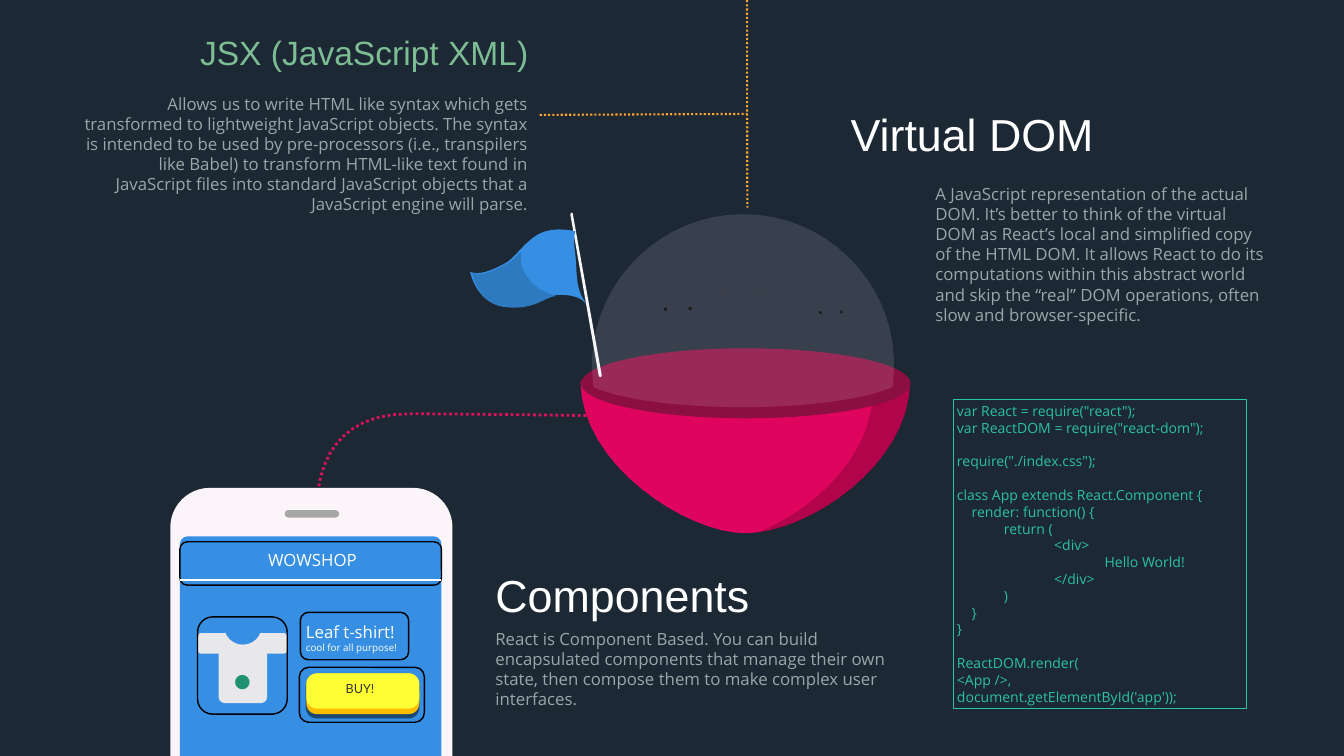
from lxml.etree import SubElement
from pptx import Presentation
from pptx.dml.color import RGBColor
from pptx.enum.dml import MSO_LINE
from pptx.enum.shapes import MSO_CONNECTOR, MSO_SHAPE as SHAPE
from pptx.enum.text import MSO_ANCHOR, MSO_AUTO_SIZE, PP_ALIGN as ALIGN
from pptx.oxml.ns import qn
from pptx.util import Pt

PX = 9144  # 100 px to the inch
THEME = {
    "night": "1D2835", "white": "FFFFFF", "black": "000000", "grey": "9AA7A8",
    "jsx": "7DBD94", "code": "2BC2A1", "orange": "FDA531", "rose": "DB125A",
    "bowl": "DF055E", "rim": "8C0F42", "pole": "F6F6F6", "blue": "368FE2",
    "fold": "2D7AC1", "speck": "231F1F", "shell": "FBF4F8", "speaker": "A8A7A7",
    "shirt": "E8E8EA", "amber": "FCBD00", "yellow": "FFFF33", "label": "343434",
    "leaf": "219271",
    "title": 64, "subtitle": 48, "dot": 42, "body": 24, "listing": 20,
    "button": 18, "small": 14,
    "head_font": "Arial", "body_font": "Open Sans", "app_font": "Lato",
}

prs = Presentation()
prs.slide_width, prs.slide_height = 2667 * PX, 1500 * PX
slide = prs.slides.add_slide(prs.slide_layouts[6])
slide.background.fill.solid()
slide.background.fill.fore_color.rgb = RGBColor.from_string(THEME["night"])
shapes = slide.shapes


def outline(start, segments, close=True):
    """Two numbers make a straight segment, six a Bézier curve."""
    points = [start]
    for segment in segments:
        if len(segment) == 2:
            points.append(segment)
            continue
        knots = [points[-1], segment[:2], segment[2:4], segment[4:]]
        for step in range(1, 17):
            t = step / 16
            weights = ((1 - t) ** 3, 3 * t * (1 - t) ** 2, 3 * t * t * (1 - t), t ** 3)
            points.append(tuple(sum(w * k[axis] for w, k in zip(weights, knots))
                                for axis in (0, 1)))
    scaled = [(round(x * PX), round(y * PX)) for x, y in points]
    builder = shapes.build_freeform(*scaled[0], scale=1.0)
    builder.add_line_segments(scaled[1:], close=close)
    return builder.convert_to_shape()


def style(shape, fill=None, line=None, width=2, alpha=None):
    shape.shadow.inherit = False
    if fill:
        shape.fill.solid()
        shape.fill.fore_color.rgb = RGBColor.from_string(THEME[fill])
        if alpha:
            color = shape.fill._xPr.find(qn("a:solidFill"))[0]
            SubElement(color, qn("a:alpha"), val=str(alpha * 1000))
    else:
        shape.fill.background()
    if line:
        shape.line.color.rgb = RGBColor.from_string(THEME[line])
        shape.line.width = Pt(width)
    else:
        shape.line.fill.background()


# Dotted curve from the phone to the bowl
trail = outline((630, 1453), [(630, 1014), (630, 1014, 612, 820, 813, 821),
                              (1013, 822, 1347, 827, 1347, 827)], close=False)
style(trail, line="rose", width=4)
trail.line.dash_style = MSO_LINE.ROUND_DOT

# Straight lines: dotted branch above, divider in the phone header later
branches = [(1482, -267, 1483, 412), (1071, 228, 1483, 226)]
divider = (357, 1151, 876, 1151)

# Bowl, flag and dome
outlines = [
    ("bowl", None, (1152, 756), [(1152, 922, 1363, 1058, 1479, 1058),
                                 (1603, 1058, 1806, 922, 1806, 756)]),
    ("black", 20, (1152, 757), [(1152, 762, 1210, 759, 1210, 765), (1732, 776),
                                (1732, 904, 1614, 1013, 1503, 1057),
                                (1627, 1042, 1806, 912, 1806, 757)]),
    ("rim", None, (1807, 761), [(1807, 799, 1661, 830, 1480, 830),
                                (1300, 830, 1153, 799, 1153, 761),
                                (1153, 722, 1300, 691, 1480, 691),
                                (1661, 691, 1807, 722, 1807, 761)]),
    ("pole", None, (1188, 745), [(1189, 747, 1190, 748, 1192, 748),
                                 (1193, 748, 1194, 746, 1194, 744),
                                 (1138, 432), (1137, 425),
                                 (1137, 423, 1135, 422, 1134, 422),
                                 (1132, 423, 1132, 425, 1132, 427)]),
    ("blue", None, (939, 541), [(955, 545, 982, 534, 1003, 522),
                                (1024, 510, 1041, 479, 1070, 464),
                                (1100, 448, 1142, 459, 1142, 459),
                                (1139, 468, 1138, 480, 1141, 499),
                                (1146, 537, 1140, 569, 1161, 599), (1162, 603),
                                (1162, 603, 1155, 586, 1115, 585),
                                (1075, 583, 1068, 612, 1007, 609),
                                (951, 607, 935, 549, 933, 540),
                                (935, 540, 937, 541, 939, 541)]),
    ("fold", None, (1007, 523), [(1016, 518, 1025, 509, 1034, 499),
                                 (1032, 515, 1034, 533, 1048, 552),
                                 (1063, 573, 1085, 582, 1104, 587),
                                 (1076, 592, 1063, 613, 1010, 610),
                                 (954, 608, 939, 551, 937, 541),
                                 (938, 542, 940, 542, 943, 543),
                                 (959, 547, 986, 535, 1007, 523)]),
    ("shell", 12, (1774, 711), [(1767, 552, 1635, 425, 1475, 425),
                                (1314, 425, 1183, 552, 1175, 710), (1175, 724),
                                (1175, 739, 1176, 754, 1178, 768),
                                (1230, 792, 1343, 808, 1474, 808),
                                (1606, 808, 1719, 791, 1771, 768),
                                (1773, 754, 1774, 739, 1774, 724)]),
]
for fill, alpha, start, segments in outlines:
    if fill == "shell":  # specks lie beneath the dome
        for left, top, size, color in [
                (1317, 610, 7, "black"), (1366, 609, 7, "black"),
                (1625, 617, 6, "black"), (1666, 616, 6, "black"),
                (1505, 580, 6, "speck"), (1436, 579, 6, "speck")]:
            speck = shapes.add_shape(SHAPE.OVAL, left * PX, top * PX, size * PX, size * PX)
            style(speck, color)
    style(outline(start, segments), fill, alpha=alpha)

# Phone, T-shirt, button, then frames around the components
blocks = [
    ((338, 968, 560, 1161), 0.14, "shell", None),
    ((357, 1064, 519, 949), 0.03, "blue", None),
    ((565, 1012, 108, 15), 0.5, "speaker", None),
    ((434, 1256, 96, 139), 0.12, "shirt", None),
    ((392, 1256, 178, 41), 0.18, "shirt", None),
    ((445, 1205, 74, 74), None, "blue", None),
    ((608, 1336, 224, 81), 0.26, "amber", None),
    ((608, 1336, 224, 70), 0.3, "yellow", None),
    ((392, 1224, 178, 193), 0.17, None, "black"),
    ((596, 1215, 215, 94), 0.17, None, "black"),
    ((594, 1324, 248, 109), 0.17, None, "black"),
    ((357, 1075, 519, 86), 0.17, None, "black"),
]
for box, radius, fill, line in blocks:
    kind = SHAPE.ROUNDED_RECTANGLE if radius else SHAPE.OVAL
    block = shapes.add_shape(kind, *(side * PX for side in box))
    style(block, fill, line)
    if radius:
        block.adjustments[0] = radius
    if fill == "amber":
        effects = block._element.spPr.find(qn("a:effectLst"))
        shadow = SubElement(effects, qn("a:outerShdw"), blurRad=str(Pt(1)), dist=str(Pt(5)),
                            dir="5400000", algn="ctr", rotWithShape="0")
        shade = SubElement(shadow, qn("a:srgbClr"), val=THEME["black"])
        SubElement(shade, qn("a:alpha"), val="50000")

for ends in branches + [divider]:
    wire = shapes.add_connector(MSO_CONNECTOR.STRAIGHT, *(end * PX for end in ends))
    SubElement(wire._element.spPr, qn("a:effectLst"))
    is_branch = ends in branches
    wire.line.color.rgb = RGBColor.from_string(THEME["orange" if is_branch else "white"])
    wire.line.width = Pt(3 if is_branch else 2)
    if is_branch:
        wire.line.dash_style = MSO_LINE.ROUND_DOT

# Texts: box, wrap, alignment, font, colour, lines with their sizes
dom_text = "A JavaScript representation of the actual DOM. It’s better to think of the virtual DOM as React’s local and simplified copy of the HTML DOM. It allows React to do its computations within this abstract world and skip the “real” DOM operations, often slow and browser-specific."
jsx_text = "Allows us to write HTML like syntax which gets transformed to lightweight JavaScript objects. The syntax is intended to be used by pre-processors (i.e., transpilers like Babel) to transform HTML-like text found in JavaScript files into standard JavaScript objects that a JavaScript engine will parse."
component_text = "React is Component Based. You can build encapsulated components that manage their own state, then compose them to make complex user interfaces."
texts = [
    ((1688, 211, 543, 108), False, ALIGN.LEFT, "head_font", "white", [("Virtual DOM", "title")]),
    ((1856, 333, 655, 342), True, ALIGN.LEFT, "body_font", "grey", [(dom_text, "body")]),
    ((372, 63, 677, 81), False, ALIGN.RIGHT, "head_font", "jsx", [("JSX (JavaScript XML)", "subtitle")]),
    ((158, 177, 889, 256), True, ALIGN.RIGHT, "body_font", "grey", [(jsx_text, "body")]),
    ((983, 1125, 558, 108), False, ALIGN.LEFT, "head_font", "white", [("Components", "title")]),
    ((983, 1254, 822, 146), True, ALIGN.LEFT, "body_font", "grey", [(component_text, "body")]),
    ((686, 1346, 69, 40), False, ALIGN.LEFT, "app_font", "label", [("BUY!", "button")]),
    ((447, 1291, 68, 68), False, ALIGN.CENTER, "app_font", "leaf", [("●", "dot")]),
    ((607, 1224, 203, 81), False, ALIGN.LEFT, "body_font", "white",
     [("Leaf t-shirt!", "body"), ("cool for all purpose!", "small")]),
    ((532, 1083, 192, 54), False, ALIGN.LEFT, "body_font", "white", [("WOWSHOP", "body")]),
]
for box, wrap, align, font, color, lines in texts:
    frame = shapes.add_textbox(*(side * PX for side in box)).text_frame
    frame.word_wrap = wrap
    frame.auto_size = MSO_AUTO_SIZE.NONE if wrap else MSO_AUTO_SIZE.SHAPE_TO_FIT_TEXT
    frame.vertical_anchor = MSO_ANCHOR.MIDDLE
    frame.margin_left = frame.margin_right = frame.margin_top = frame.margin_bottom = 0
    frame.text = "\n".join(line for line, _ in lines)
    for paragraph, (_, size) in zip(frame.paragraphs, lines):
        paragraph.alignment = align
        paragraph.font.size = Pt(THEME[size])
        paragraph.font.name = THEME[font]
        paragraph.font.color.rgb = RGBColor.from_string(THEME[color])
        if size == "dot":
            paragraph.line_spacing = 1.7

# Code listing: indent in px, gap before, line
code = [
    (7, False, 'var React = require("react");'),
    (7, False, 'var ReactDOM = require("react-dom");'),
    (7, True, 'require("./index.css");'),
    (7, True, "class App extends React.Component {"),
    (36, False, "render: function() {"),
    (100, False, "return ("),
    (200, False, "<div>"),
    (300, False, "Hello World!"),
    (200, False, "</div>"),
    (100, False, ")"),
    (36, False, "}"),
    (7, False, "}"),
    (7, True, "ReactDOM.render("),
    (7, False, "<App />,"),
    (7, False, "document.getElementById('app'));"),
]
panel = shapes.add_shape(SHAPE.RECTANGLE, 1892 * PX, 792 * PX, 581 * PX, 613 * PX)
style(panel, line="code", width=0.75)
frame = panel.text_frame
frame.word_wrap = True
frame.vertical_anchor = MSO_ANCHOR.MIDDLE
frame.margin_left = frame.margin_right = frame.margin_top = frame.margin_bottom = 0
frame.text = "\n".join(line for _, _, line in code)
for paragraph, (indent, gap, _) in zip(frame.paragraphs, code):
    paragraph.alignment = ALIGN.LEFT
    paragraph._p.get_or_add_pPr().set("marL", str(indent * PX))
    paragraph.space_before = Pt(24 if gap else 0)
    paragraph.font.size = Pt(THEME["listing"])
    paragraph.font.name = THEME["body_font"]
    paragraph.font.color.rgb = RGBColor.from_string(THEME["code"])

prs.save("out.pptx")
